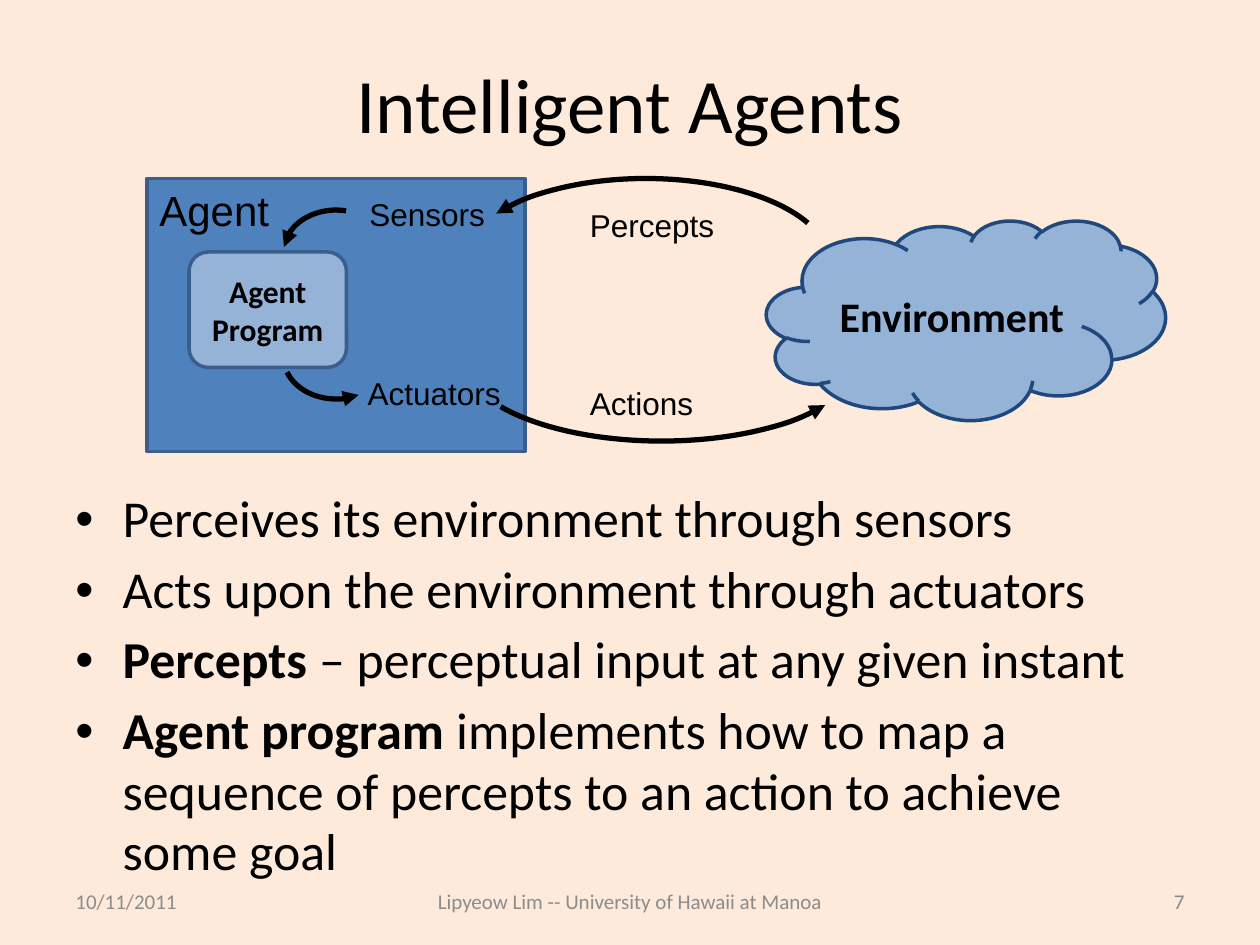
import pptx
import pptx.util
import pptx.dml.color
import pptx.enum.shapes
import pptx.enum.text
import pptx.oxml.ns
import lxml.etree

Pt = pptx.util.Pt
KIND = pptx.enum.shapes.MSO_SHAPE
ALIGN = pptx.enum.text.PP_ALIGN
ANCHOR = pptx.enum.text.MSO_ANCHOR
qn = pptx.oxml.ns.qn


def tint(color, code):
    color.rgb = pptx.dml.color.RGBColor.from_string(code)


def paint(fill, code):
    fill.solid()
    tint(fill.fore_color, code)


def put_run(para, text, size, font="Calibri", code="000000", bold=False):
    run = para.add_run()
    run.text = text
    run.font.size = Pt(size)
    run.font.name = font
    run.font.bold = bold
    tint(run.font.color, code)


def add_text(slide, box, wrap=True, anchor=ANCHOR.TOP):
    frame = slide.shapes.add_textbox(*map(Pt, box)).text_frame
    frame.word_wrap = wrap
    frame.vertical_anchor = anchor
    return frame


def add_form(slide, kind, box, fill, line, width=2):
    form = slide.shapes.add_shape(kind, *map(Pt, box))
    form.shadow.inherit = False
    if fill:
        paint(form.fill, fill)
    else:
        form.fill.background()
    tint(form.line.color, line)
    form.line.width = Pt(width)
    return form


def add_node(slide, kind, box, line, text, size):
    frame = add_form(slide, kind, box, "95B3D7", line).text_frame
    frame.word_wrap = True
    frame.vertical_anchor = ANCHOR.MIDDLE
    para = frame.paragraphs[0]
    para.alignment = ALIGN.CENTER
    put_run(para, text, size, bold=True)


def add_arc(slide, box, start, end, turn):
    arc = add_form(slide, KIND.ARC, box, None, "000000", 3)
    arc.adjustments[0] = start
    arc.adjustments[1] = end
    arc.rotation = turn
    line = arc.line._get_or_add_ln()
    lxml.etree.SubElement(line, qn("a:headEnd")).set("type", "triangle")


def add_label(slide, box, text, size=18):
    frame = add_text(slide, box, wrap=False)
    put_run(frame.paragraphs[0], text, size, "Arial")


def add_title(slide, box, text):
    title = slide.shapes.title
    title.left, title.top, title.width, title.height = map(Pt, box)
    frame = title.text_frame
    frame.vertical_anchor = ANCHOR.MIDDLE
    para = frame.paragraphs[0]
    para.alignment = ALIGN.CENTER
    put_run(para, text, 44)


def add_scheme(slide, left, top):
    def at(x, y, w, h):
        return left + x, top + y, w, h

    add_form(slide, KIND.RECTANGLE, at(0, 0, 216, 156), "4F81BD", "3A5F8C")
    add_label(slide, at(0, 0, 78, 36), "Agent", 24)
    add_node(slide, KIND.CLOUD, at(354, 24, 228, 114), "1F497D",
             "Environment", 24)
    add_node(slide, KIND.ROUNDED_RECTANGLE, at(24, 42, 90, 66), "3A5F8C",
             "Agent Program", 18)
    for box, start, end, turn in (
        ((180, 0, 210, 96), 118.88, 207.8, 0),
        ((180, 54, 228, 96), 117.82, 205.71, 180),
        ((78, 78, 60, 48), 143.53, 205.71, 180),
        ((78, 18, 60, 48), 3.39, 62.2, 180),
    ):
        add_arc(slide, at(*box), start, end, turn)
    for x, y, w, text in (
        (120, 6, 81, "Sensors"),
        (119, 108, 91, "Actuators"),
        (246, 114, 74, "Actions"),
        (246, 12, 86, "Percepts"),
    ):
        add_label(slide, at(x, y, w, 29), text)


def add_points(slide, box, points):
    frame = add_text(slide, box)
    for row, (lead, rest) in enumerate(points):
        para = frame.add_paragraph() if row else frame.paragraphs[0]
        para.space_before = Pt(6)
        para.line_spacing = 0.97
        props = para._p.get_or_add_pPr()
        props.set("marL", str(Pt(27)))
        props.set("indent", str(-Pt(27)))
        lxml.etree.SubElement(props, qn("a:buFont")).set("typeface", "Arial")
        lxml.etree.SubElement(props, qn("a:buChar")).set("char", "•")
        if lead:
            put_run(para, lead, 29.6, bold=True)
        put_run(para, rest, 29.6)


def add_foot(slide, left, top, width, height):
    side = 168
    for x, w, text, align, code in (
        (0, side, "10/11/2011", ALIGN.LEFT, "8C8C8C"),
        (180, width - 360, "Lipyeow Lim -- University of Hawaii at Manoa",
         ALIGN.CENTER, "8C8C8C"),
        (width - side, side, "7", ALIGN.RIGHT, "898989"),
    ):
        frame = add_text(slide, (left + x, top, w, height),
                         anchor=ANCHOR.MIDDLE)
        para = frame.paragraphs[0]
        para.alignment = align
        put_run(para, text, 12, code=code)


def main():
    deck = pptx.Presentation()
    deck.slide_width, deck.slide_height = Pt(720), Pt(540)
    slide = deck.slides.add_slide(deck.slide_layouts[5])
    paint(slide.background.fill, "FDEADA")
    add_title(slide, (36, 21.6, 648, 74), "Intelligent Agents")
    add_points(slide, (36, 276, 648, 216), (
        ("", "Perceives its environment through sensors"),
        ("", "Acts upon the environment through actuators"),
        ("Percepts", " – perceptual input at any given instant"),
        ("Agent program", " implements how to map a sequence of percepts "
                          "to an action to achieve some goal"),
    ))
    add_foot(slide, 36, 500.5, 648, 28.8)
    add_scheme(slide, 84, 102)
    deck.save("out.pptx")


if __name__ == "__main__":
    main()
